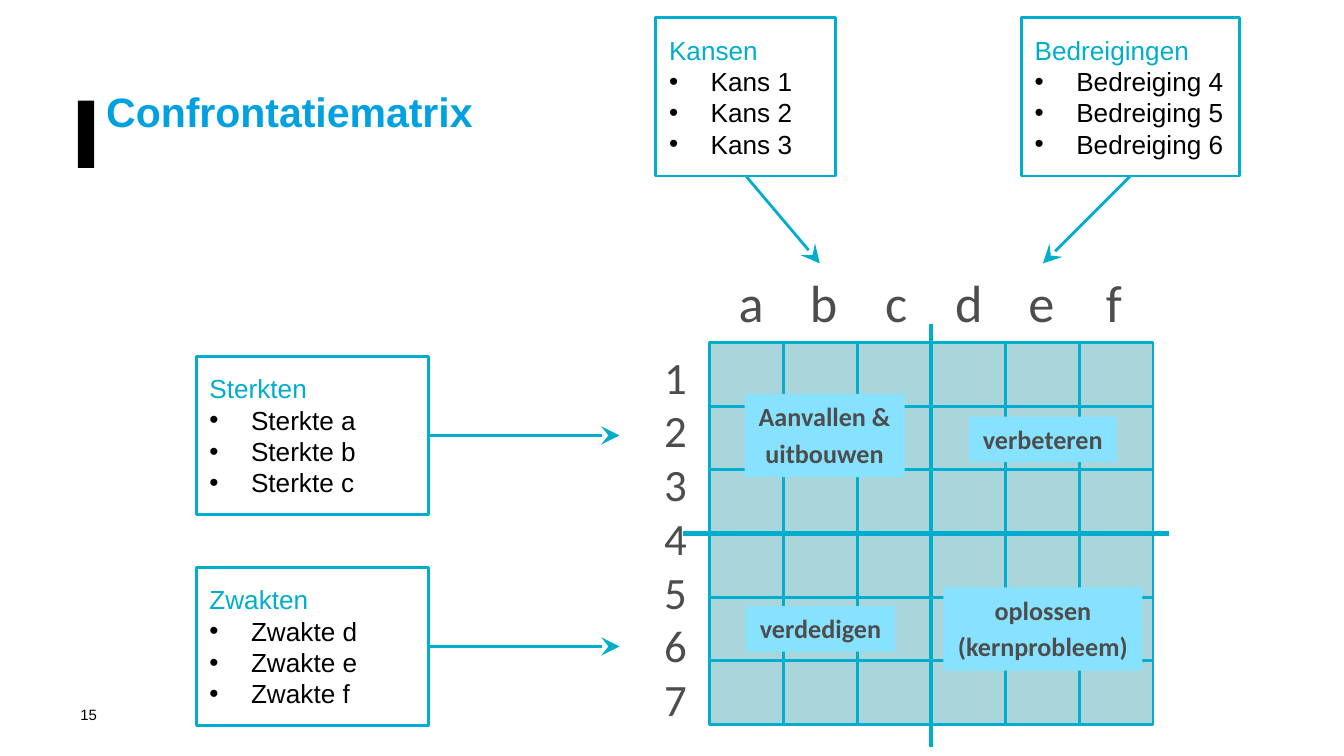
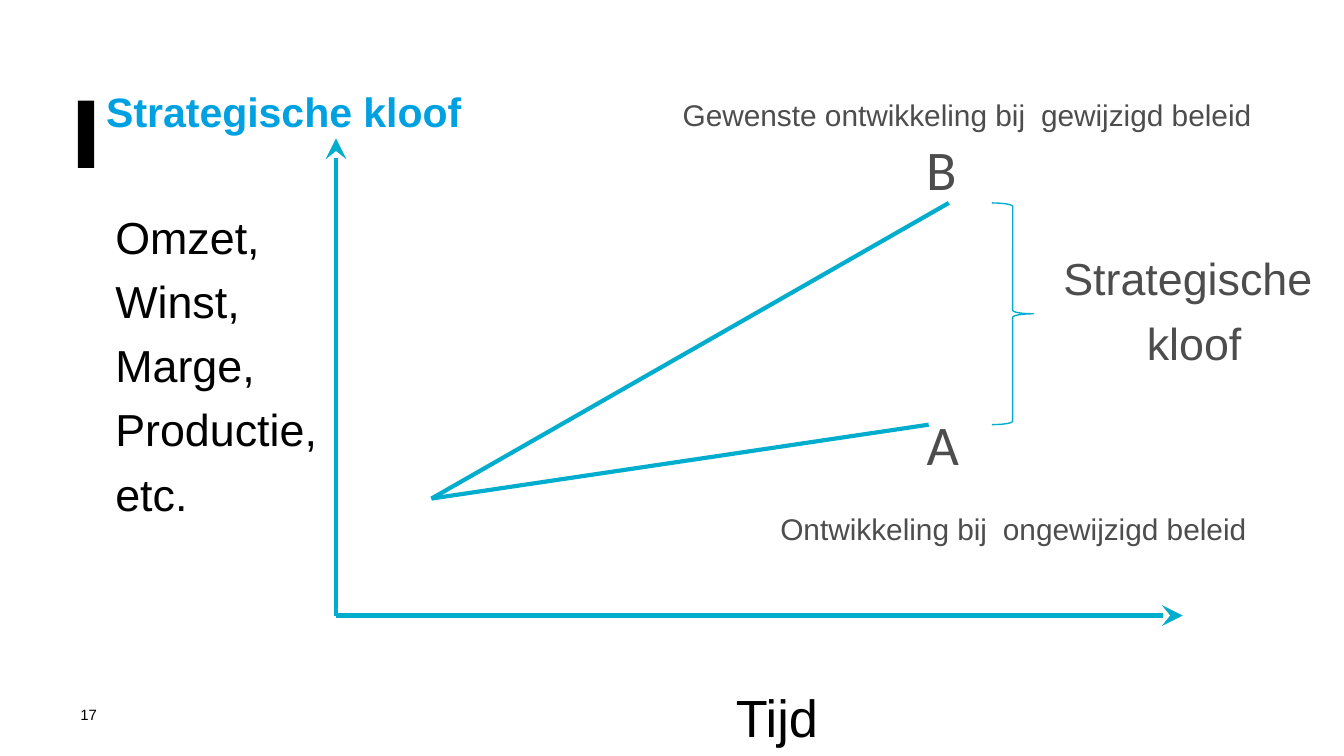
from lxml.etree import SubElement
from pptx import Presentation
from pptx.dml.color import RGBColor
from pptx.enum.shapes import MSO_CONNECTOR, MSO_SHAPE
from pptx.enum.text import MSO_ANCHOR, PP_ALIGN
from pptx.oxml.ns import qn
from pptx.util import Inches, Pt

BLACK = RGBColor(0x00, 0x00, 0x00)
GREY = RGBColor(0x4D, 0x4D, 0x4D)
TITLE_BLUE = RGBColor(0x00, 0xA1, 0xE1)
CYAN = RGBColor(0x00, 0xAD, 0xCD)
CELL_TEAL = RGBColor(0xAA, 0xD5, 0xDB)
LABEL_BLUE = RGBColor(0x87, 0xE2, 0xFF)


def add_run(p, text, size, color, font="Arial", bold=False):
    r = p.add_run()
    r.text = text
    r.font.size = Pt(size)
    r.font.name = font
    r.font.bold = bold
    r.font.color.rgb = color


def fill_lines(tf, lines, size, color, font="Arial", bold=False, align=PP_ALIGN.CENTER, gap=0):
    for i, line in enumerate(lines):
        p = tf.paragraphs[0] if i == 0 else tf.add_paragraph()
        p.alignment = align
        if i and gap:
            p.space_before = Pt(gap)
        add_run(p, line, size, color, font, bold)


def add_text(s, box, lines, size, color, wrap=False, **style):
    tb = s.shapes.add_textbox(*map(Inches, box))
    tb.text_frame.word_wrap = wrap
    fill_lines(tb.text_frame, lines, size, color, **style)
    return tb.text_frame


def add_box(s, box, fill=None, line=None, width=1.5, kind=MSO_SHAPE.RECTANGLE):
    sp = s.shapes.add_shape(kind, *map(Inches, box))
    sp.shadow.inherit = False
    if fill is None:
        sp.fill.background()
    else:
        sp.fill.solid()
        sp.fill.fore_color.rgb = fill
    if line is None:
        sp.line.fill.background()
    else:
        sp.line.color.rgb = line
        sp.line.width = Pt(width)
    return sp


def add_line(s, start, end, width=2.25, arrow=False):
    cx = s.shapes.add_connector(MSO_CONNECTOR.STRAIGHT, *map(Inches, (*start, *end)))
    cx.line.color.rgb = CYAN
    cx.line.width = Pt(width)
    if arrow:
        SubElement(cx.line._get_or_add_ln(), qn("a:tailEnd"), type="stealth", w="lg", len="lg")
    SubElement(cx._element.spPr, qn("a:effectLst"))
    return cx


def add_base(prs, title, number):
    s = prs.slides.add_slide(prs.slide_layouts[6])
    add_text(s, (0.5, 5.2, 4.02, 0.24), [number], 8, BLACK, wrap=True, align=PP_ALIGN.LEFT)
    add_box(s, (0.58, 0.75, 0.12, 0.5), fill=BLACK)
    tf = add_text(s, (0.79, 0.68, 8.39, 0.34), [title], 22, TITLE_BLUE, wrap=True,
                  bold=True, align=PP_ALIGN.LEFT)
    tf.margin_left = tf.margin_right = tf.margin_top = tf.margin_bottom = 0
    tf.paragraphs[0].line_spacing = Pt(24)
    return s


def add_bullet(p):
    pPr = p._p.get_or_add_pPr()
    pPr.set("marL", str(Inches(0.31)))
    pPr.set("indent", str(-Inches(0.31)))
    clr = SubElement(pPr, qn("a:buClr"))
    SubElement(clr, qn("a:srgbClr"), val=str(BLACK))
    SubElement(pPr, qn("a:buFont"), typeface="Arial")
    SubElement(pPr, qn("a:buChar"), char="•")


def add_factor_list(s, box, heading, items, site, target):
    sp = add_box(s, box, line=CYAN)
    tf = sp.text_frame
    tf.word_wrap = True
    tf.vertical_anchor = MSO_ANCHOR.MIDDLE
    fill_lines(tf, [heading], 14, CYAN, align=PP_ALIGN.LEFT)
    for item in items:
        p = tf.add_paragraph()
        p.alignment = PP_ALIGN.LEFT
        add_bullet(p)
        add_run(p, item, 14, BLACK)
    add_line(s, target, target, 1.5, arrow=True).begin_connect(sp, site)


def add_column_letters(s, box, letters, first, pitch):
    tf = add_text(s, box, ["\t" + "\t".join(letters)], 28, GREY, wrap=True,
                  font="Calibri", align=PP_ALIGN.LEFT)
    tabs = SubElement(tf.paragraphs[0]._p.get_or_add_pPr(), qn("a:tabLst"))
    for i in range(len(letters)):
        SubElement(tabs, qn("a:tab"), pos=str(Inches(first + i * pitch)), algn="ctr")


def add_matrix(s, box):
    left, top, width, height = box
    n = 6
    cell_w, cell_h = width / n, height / n
    under_labels = {(1, 1), (4, 4)}
    for row in range(n):
        for col in range(n):
            if (row, col) not in under_labels:
                add_box(s, (left + col * cell_w, top + row * cell_h, cell_w, cell_h),
                        CELL_TEAL, CYAN)
    add_column_letters(s, (left + 0.09, top - 0.59, 3.16, 0.57), "abcdef", 0.12, 0.54)
    add_text(s, (left - 0.44, top, 0.37, 2.93), "1234567", 24, GREY, font="Calibri")
    mid_x, mid_y = left + width / 2, top + height / 2
    add_line(s, (mid_x, top + height + 0.17), (mid_x, top - 0.14))
    add_line(s, (left + width + 0.12, mid_y), (left - 0.2, mid_y))
    quadrants = [
        (0.26, 0.38, 1.19, 0.62, ["Aanvallen &", "uitbouwen"]),
        (1.93, 0.55, 1.1, 0.34, ["verbeteren"]),
        (0.27, 1.96, 1.11, 0.34, ["verdedigen"]),
        (1.74, 1.82, 1.48, 0.62, ["oplossen", "(kernprobleem)"]),
    ]
    for dx, dy, w, h, lines in quadrants:
        sp = add_box(s, (left + dx, top + dy, w, h), LABEL_BLUE)
        tf = sp.text_frame
        tf.word_wrap = False
        tf.vertical_anchor = MSO_ANCHOR.TOP
        fill_lines(tf, lines, 14, GREY, "Calibri", True, gap=2.8)


def build_confrontation(prs):
    s = add_base(prs, "Confrontatiematrix", "15")
    factors = [
        ((4.88, 0.13, 1.34, 1.18), "Kansen", "Kans", "123", 2, (6.1, 1.96)),
        ((7.6, 0.13, 1.62, 1.18), "Bedreigingen", "Bedreiging", "456", 2, (7.76, 1.96)),
        ((1.46, 2.65, 1.73, 1.18), "Sterkten", "Sterkte", "abc", 3, (4.61, 3.24)),
        ((1.46, 4.22, 1.73, 1.18), "Zwakten", "Zwakte", "def", 3, (4.61, 4.81)),
    ]
    add_matrix(s, (5.28, 2.55, 3.3, 2.84))
    for box, heading, name, keys, site, target in factors:
        add_factor_list(s, box, heading, [f"{name} {k}" for k in keys], site, target)


def add_axes(s, box):
    left, top, width, height = box
    bottom = top + height
    add_line(s, (left, bottom), (left, top), arrow=True)
    add_line(s, (left, bottom), (left + width, bottom), arrow=True)
    add_text(s, (left + 2.74, bottom + 0.47, 1.08, 0.57), ["Tijd"], 28, BLACK)
    add_text(s, (left - 1.74, top + 0.48, 1.84, 2.83),
             ["Omzet,", "Winst,", "Marge,", "Productie,", "etc."], 24, BLACK,
             wrap=True, align=PP_ALIGN.LEFT, gap=5.6)


def add_policy_note(s, box, start, end):
    tf = add_text(s, box, [start], 16, GREY)
    p = tf.paragraphs[0]
    add_run(p, " ", 14, BLACK)
    add_run(p, end, 16, GREY)


def add_gap(s, box):
    left, top, width, height = box
    bottom = top + height
    origin = (left, bottom + 0.55)
    add_line(s, origin, (left + 3.85, top))
    add_line(s, origin, (left + 3.7, bottom))
    brace = add_box(s, (left + width - 0.31, top, 0.31, height), line=CYAN, width=0.75,
                    kind=MSO_SHAPE.RIGHT_BRACE)
    brace.adjustments[0] = 0.083
    brace.adjustments[1] = 0.5
    add_text(s, (left + width + 0.08, top + 0.31, 2.23, 1.14),
             ["Strategische ", "kloof"], 24, GREY, gap=5.6)
    add_text(s, (left + 3.58, bottom - 0.16, 0.45, 0.61), ["A"], 30, GREY, font="Calibri")
    add_text(s, (left + 3.58, top - 0.56, 0.43, 0.61), ["B"], 30, GREY, font="Calibri")
    add_policy_note(s, (left + 2.48, bottom + 0.59, 3.7, 0.69),
                    "Ontwikkeling bij ", "ongewijzigd beleid")
    add_policy_note(s, (left + 1.76, top - 0.84, 4.45, 0.69),
                    "Gewenste ontwikkeling bij ", "gewijzigd beleid")


def build_strategic_gap(prs):
    s = add_base(prs, "Strategische kloof", "17")
    add_axes(s, (2.5, 1.03, 6.3, 3.55))
    add_gap(s, (3.21, 1.51, 4.48, 1.65))


def main():
    prs = Presentation()
    prs.slide_width = Inches(10)
    prs.slide_height = Inches(10 * 9 / 16)
    build_confrontation(prs)
    build_strategic_gap(prs)
    prs.save("out.pptx")


if __name__ == "__main__":
    main()
